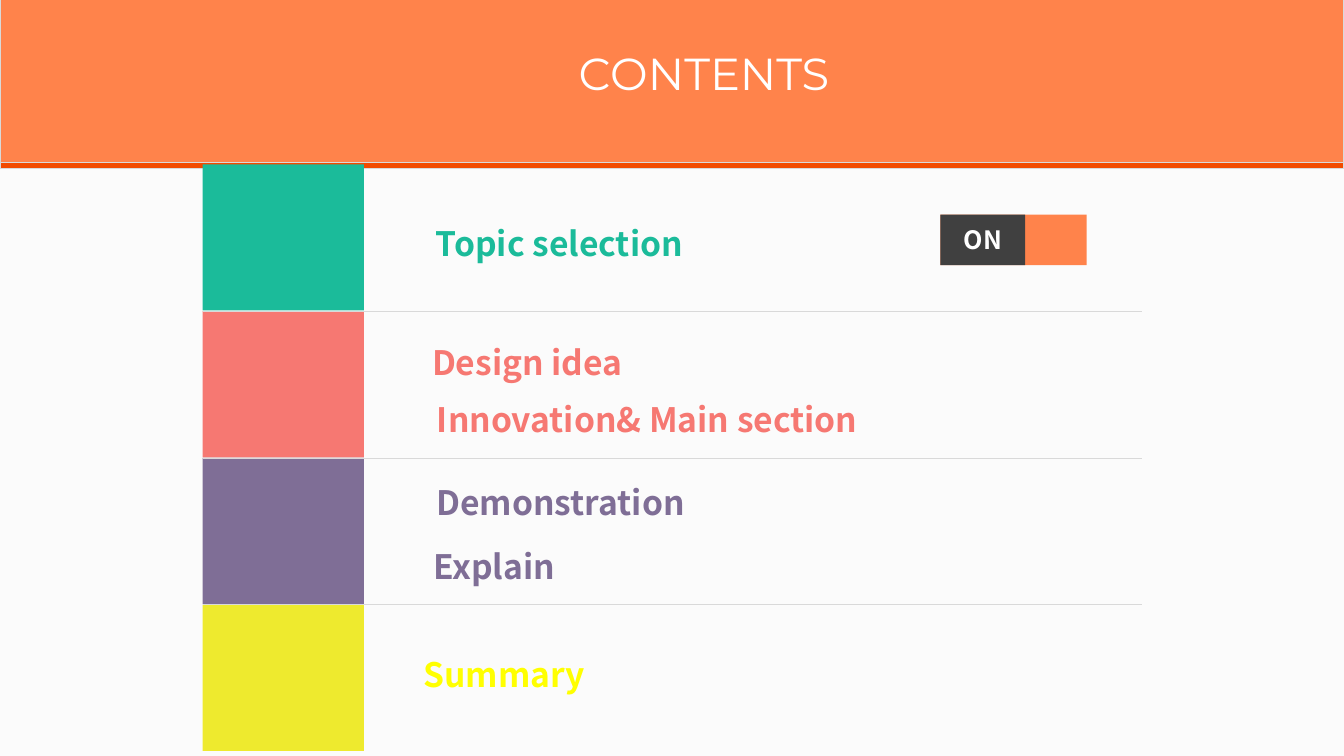
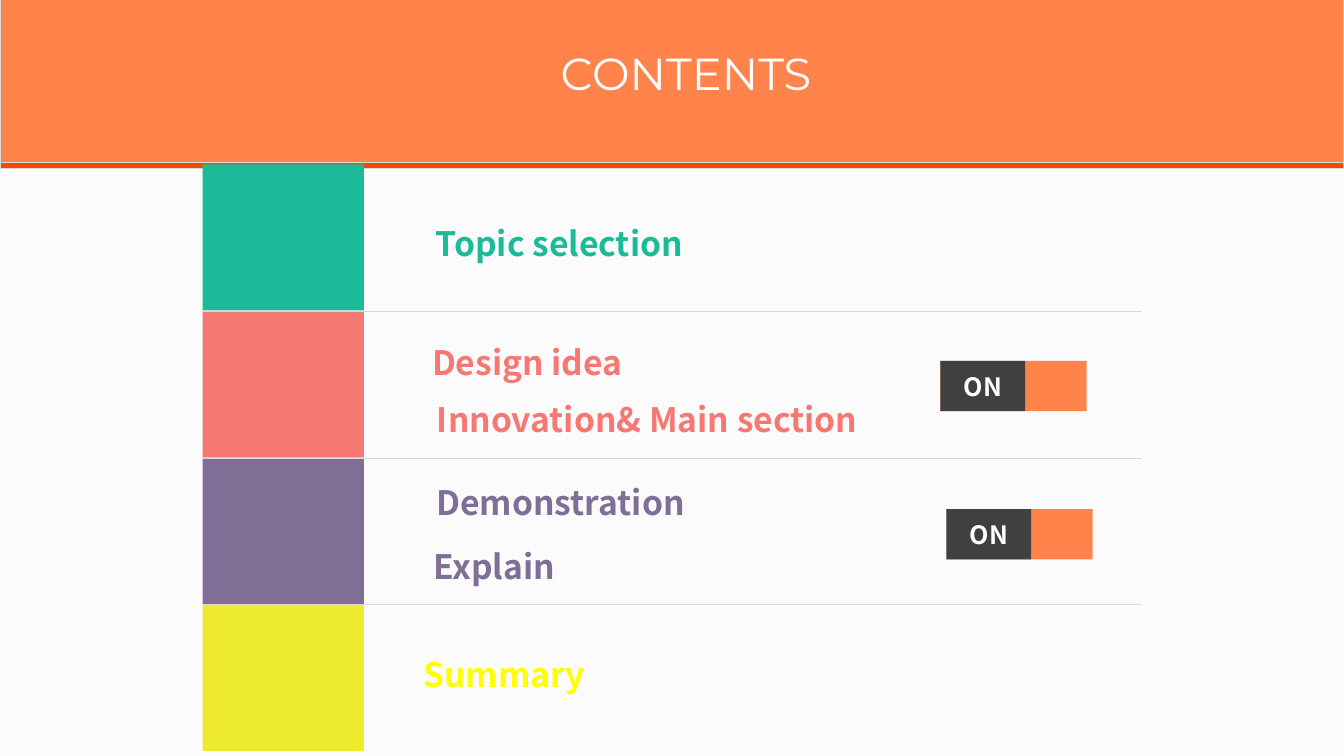
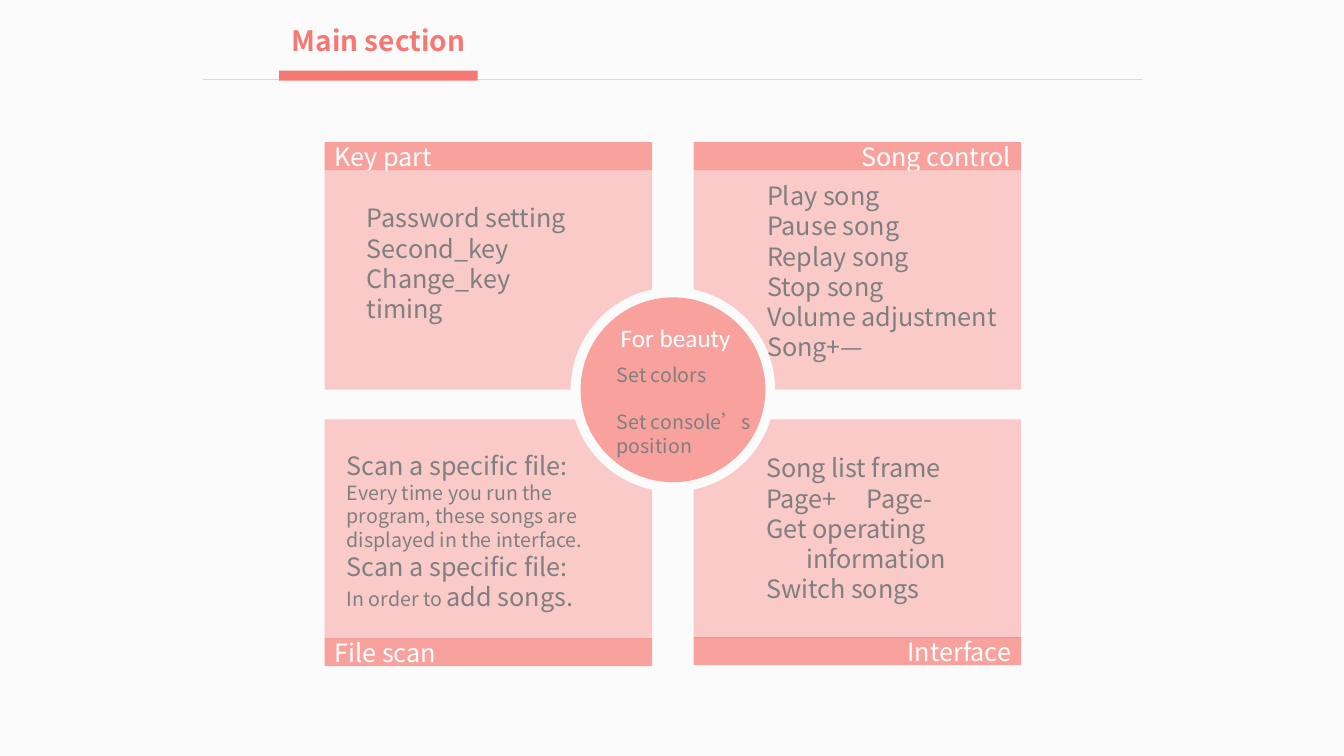
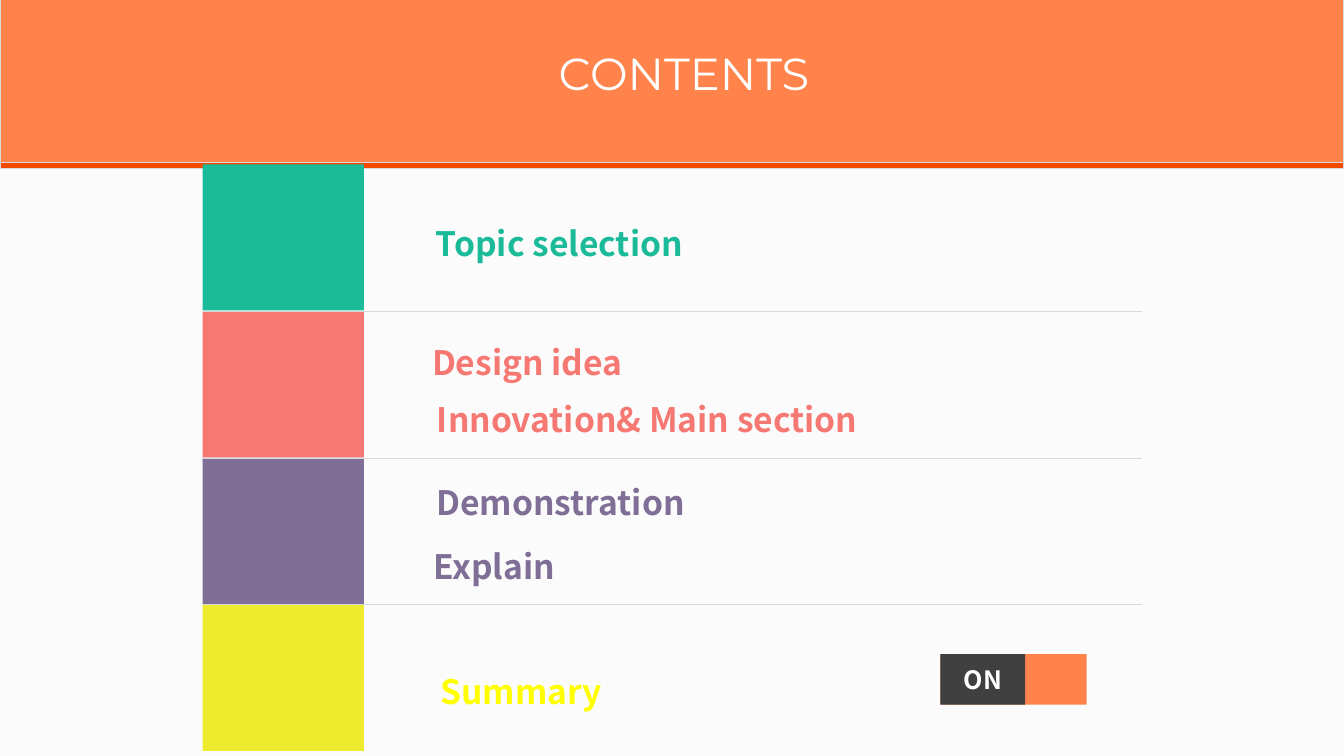
from collections import namedtuple
from math import acos, asin, cos, sin

from lxml import etree
from pptx import Presentation
from pptx.dml.color import RGBColor
from pptx.enum.shapes import MSO_CONNECTOR, MSO_SHAPE
from pptx.enum.text import MSO_ANCHOR, MSO_AUTO_SIZE, PP_ALIGN
from pptx.oxml.ns import qn
from pptx.util import Inches, Pt

RECTANGLE, OVAL = MSO_SHAPE.RECTANGLE, MSO_SHAPE.OVAL
STRAIGHT = MSO_CONNECTOR.STRAIGHT
LEFT, CENTER, RIGHT = PP_ALIGN.LEFT, PP_ALIGN.CENTER, PP_ALIGN.RIGHT
TOP, MIDDLE = MSO_ANCHOR.TOP, MSO_ANCHOR.MIDDLE
NO_FIT = MSO_AUTO_SIZE.NONE

COLORS = {
    "paper": "FBFBFB", "white": "FFFFFF", "rule": "D9D9D9",
    "orange": "FF834B", "ember": "F24B00", "dark": "404040",
    "teal": "1BBB9A", "coral": "F67872", "purple": "7F6E96",
    "lime": "EEEA2E", "yellow": "FFFF00", "blush": "F9A19D", "gray": "7F7F7F",
}
BODY_FONT, TITLE_FONT, ROUND_FONT = "Noto Sans CJK SC", "Montserrat", "Calibri"
COLUMNS, ROWS = 80, 45
TITLE_ONLY, FOUR_LISTS = 5, 4
RULE_LEFT, RULE_RIGHT = 12.06, 68
TILE_TOP, TILE_STEP = 9.78, 8.74

Line = namedtuple("Line", "spans indent before tab", defaults=(0, 0, None))


class Board:
    def __init__(self):
        self.deck = Presentation()
        self.deck.slide_width, self.deck.slide_height = Inches(13.333), Inches(7.5)
        self.column = self.deck.slide_width / COLUMNS
        self.row = self.deck.slide_height / ROWS
        self.paint(self.deck.slide_master.background.fill, "paper")
        self.page = None

    def new_page(self, layout):
        self.page = self.deck.slides.add_slide(self.deck.slide_layouts[layout])

    def paint(self, fill, color):
        fill.solid()
        fill.fore_color.rgb = RGBColor.from_string(COLORS[color])

    def place(self, left, top, width, height):
        return (round(left * self.column), round(top * self.row),
                round(width * self.column), round(height * self.row))

    def finish(self, shape, color, outline=None):
        shape.shadow.inherit = False
        self.paint(shape.fill, color)
        if outline:
            self.paint(shape.line.fill, outline)
            shape.line.width = Pt(1)
        else:
            shape.line.fill.background()
        return shape

    def shape(self, area, color, kind=RECTANGLE, outline=None):
        shape = self.page.shapes.add_shape(kind, *self.place(*area))
        return self.finish(shape, color, outline)

    def fill_text(self, box, lines, color, size, align=LEFT, bold=False,
                  font=BODY_FONT, anchor=TOP):
        frame = box.text_frame
        frame.word_wrap = True
        frame.auto_size = NO_FIT
        frame.vertical_anchor = anchor
        for index, line in enumerate(lines):
            if isinstance(line, str):
                line = Line([(line, size)])
            para = frame.add_paragraph() if index else frame.paragraphs[0]
            para.alignment = align
            para.space_before = Pt(line.before)
            properties = para._p.get_or_add_pPr()
            properties.set("marL", str(round(line.indent * self.column)))
            properties.set("indent", "0")
            etree.SubElement(properties, qn("a:buNone"))
            if line.tab:
                stops = etree.SubElement(properties, qn("a:tabLst"))
                etree.SubElement(stops, qn("a:tab"), algn="l",
                                 pos=str(round(line.tab * self.column)))
            for text, span_size in line.spans:
                span = para.add_run()
                span.text = text
                span.font.size = Pt(span_size)
                span.font.bold = bold
                span.font.name = font
                self.paint(span.font.fill, color)
                etree.SubElement(span._r.get_or_add_rPr(), qn("a:ea"), typeface=font)

    def text(self, area, lines, color, size, **style):
        box = self.page.shapes.add_textbox(*self.place(*area))
        self.fill_text(box, lines, color, size, **style)

    def placeholder(self, number, area, lines, color, size, **style):
        box = self.page.placeholders[number]
        box.left, box.top, box.width, box.height = self.place(*area)
        self.page.shapes._spTree.append(box._element)
        self.fill_text(box, lines, color, size, **style)

    def rule(self, row):
        left, top, right, _ = self.place(RULE_LEFT, row, RULE_RIGHT, 0)
        line = self.page.shapes.add_connector(STRAIGHT, left, top, right, top)
        self.paint(line.line.fill, "rule")
        line.line.width = Pt(0.5)
        etree.SubElement(line._element.spPr, qn("a:effectLst"))

    def switch(self, left, top):
        self.shape((left, top, 8.7, 3), "orange")
        label = self.shape((left, top, 5.04, 3), "dark")
        self.fill_text(label, ["ON"], "white", 18, align=CENTER, bold=True,
                       anchor=MIDDLE)

    def panel(self, center, radius, side, level, across, down):
        near_x, far_x = across
        near_y, far_y = down
        start, end = asin(near_y / radius), acos(near_x / radius)
        steps = 24
        angles = [start + (end - start) * step / steps for step in range(steps + 1)]
        corners = [(near_x, far_y), (far_x, far_y), (far_x, near_y)]
        corners += [(radius * cos(angle), radius * sin(angle)) for angle in angles]
        points = [((center[0] + side * x) * self.column,
                   (center[1] + level * y) * self.row) for x, y in corners]
        builder = self.page.shapes.build_freeform(*points[0])
        builder.add_line_segments(points[1:], close=True)
        panel = self.finish(builder.convert_to_shape(), "coral")
        tint = panel._element.spPr.find(qn("a:solidFill"))[0]
        etree.SubElement(tint, qn("a:alpha"), val="37000")


def contents(board, title_width, switches, summary=(22.62, 38.64)):
    board.new_page(TITLE_ONLY)
    board.shape((0, 7.14, COLUMNS, 2.88), "ember", outline="rule")
    board.shape((0, -0.18, COLUMNS, 9.84), "orange", outline="rule")
    for index, color in enumerate(("teal", "coral", "purple", "lime")):
        board.shape((RULE_LEFT, TILE_TOP + index * TILE_STEP, 9.6, 8.7), color)
    for index in range(1, 4):
        board.rule(TILE_TOP + index * TILE_STEP)
    board.placeholder(0, (31.26, 2.4, title_width, 3.84), ["CONTENTS"], "white", 32,
                      align=CENTER, font=TITLE_FONT)
    entries = (
        ("Topic selection", "teal", 24.54, 12.96, 17.52, CENTER),
        ("Design idea", "coral", 20.46, 20.04, 21.84, CENTER),
        ("Innovation& Main section", "coral", 23.4, 23.46, 30.24, CENTER),
        ("Demonstration", "purple", 24.9, 28.38, 16.92, CENTER),
        ("Explain", "purple", 25.2, 32.22, 16.92, LEFT),
        ("Summary", "yellow", *summary, 14.76, CENTER),
    )
    for text, color, left, top, width, align in entries:
        board.text((left, top, width, 3), [text], color, 24, align=align, bold=True)
    for left, top in switches:
        board.switch(left, top)


def main_section(board):
    board.new_page(FOUR_LISTS)
    board.rule(4.74)
    board.shape((16.62, 4.2, 11.82, 0.6), "coral")
    board.placeholder(0, (14.46, 1.08, 16.14, 2.64), ["Main section"], "coral", 20,
                      align=CENTER, bold=True)
    left, right = 19.32, 41.28
    labels = (
        ("Key part", left, 8.46, LEFT),
        ("Song control", right, 8.46, RIGHT),
        ("File scan", left, 37.98, LEFT),
        ("Interface", right, 37.92, RIGHT),
    )
    for text, column, row, align in labels:
        label = board.shape((column, row, 19.5, 1.68), "blush")
        board.fill_text(label, [text], "white", 18, align=align, anchor=MIDDLE)
    board.shape((34.56, 17.7, 11, 11), "blush", OVAL)
    for level, down in ((-1, (0, 13.05)), (1, (1.77, 14.8))):
        for side in (-1, 1):
            board.panel((40.05, 23.19), 6.09, side, level, (1.23, 20.73), down)
    lists = (
        (21.24, 11.76, 9.72,
         ["Password setting", "Second_key", "Change_key", "timing"]),
        (45.06, 10.44, 13.32,
         ["Play song", "Pause song", "Replay song", "Stop song",
          "Volume adjustment", "Song+—"]),
        (20.04, 26.52, 10.32,
         ["Scan a specific file:",
          Line([("Every time you run the program, these songs are displayed "
                 "in the interface.", 14)]),
          "Scan a specific file:",
          Line([("In order to ", 14), ("add songs.", 18)])]),
        (45, 26.64, 13.32,
         ["Song list frame", Line([("Page+\tPage-", 18)], tab=5.52), "Get operating",
          Line([("information", 18)], indent=2.4), "Switch songs"]),
    )
    for number, (column, row, height, lines) in enumerate(lists, 1):
        board.placeholder(number, (column, row, 15.72, height), lines, "gray", 18)
    board.text((36.36, 18.9, 8.22, 2.4), ["For beauty"], "white", 18, font=ROUND_FONT)
    board.text((36.12, 21.3, 14.28, 8.1),
               ["Set colors", Line([("Set console’s", 14)], before=16.8), "position"],
               "gray", 14)


def main():
    board = Board()
    contents(board, 21.3, [(55.98, 12.78)])
    contents(board, 19.14, [(55.98, 21.48), (56.34, 30.3)])
    main_section(board)
    contents(board, 18.9, [(55.98, 38.94)], summary=(23.64, 39.66))
    board.deck.save("out.pptx")


if __name__ == "__main__":
    main()
